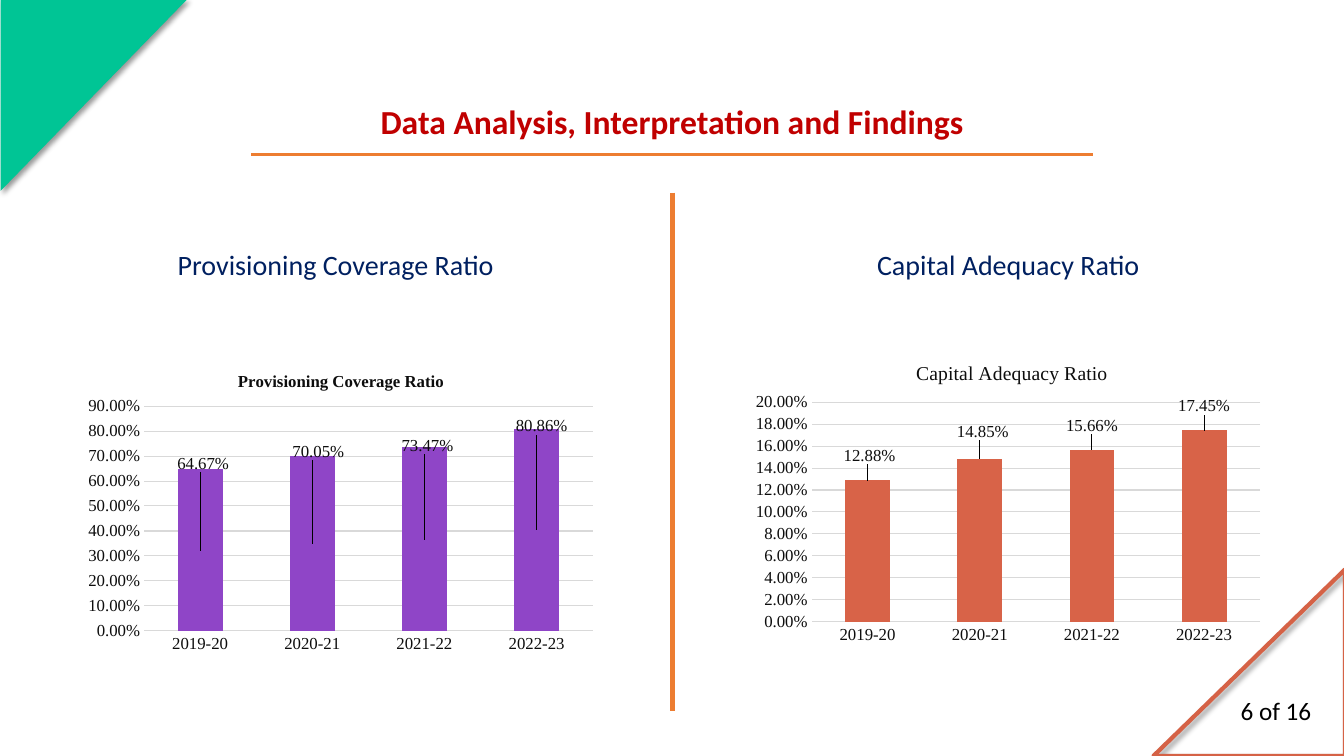
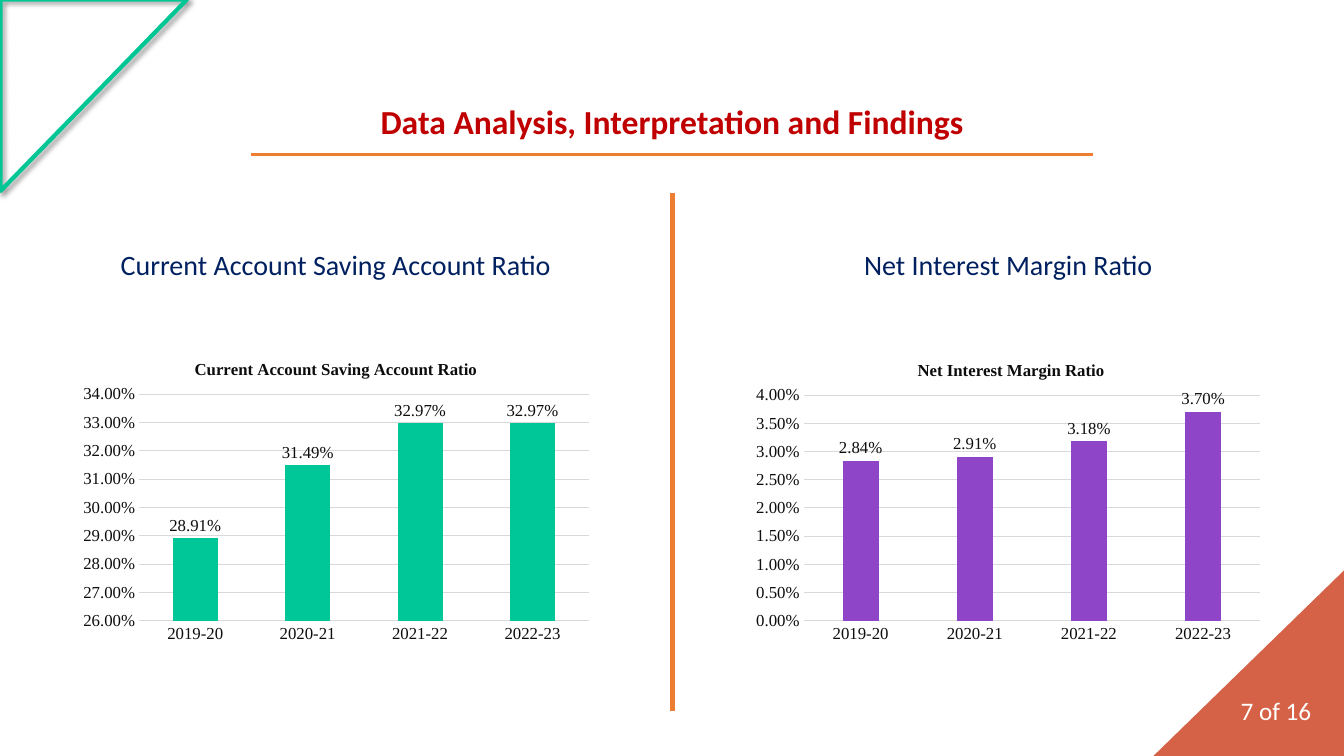
"""Build two slides comparing four banking ratios in column charts."""
from lxml import etree
from pptx import Presentation
from pptx import util as u
from pptx.chart.data import CategoryChartData
from pptx.dml.color import RGBColor
from pptx.enum import chart as charts, shapes, text
from pptx.oxml import parse_xml
from pptx.oxml.ns import nsdecls, qn

HEADING = "Data Analysis, Interpretation and Findings"
YEARS = ["2019-20", "2020-21", "2021-22", "2022-23"]
TOTAL_PAGES = 16
GREEN, RUST, ORANGE, PURPLE = "00C595", "D56246", "ED7D31", "8F45C7"
RED, NAVY, INK, GRID = "C00000", "002060", "0D0D0D", "D9D9D9"
BODY_FONT, CHART_FONT = "Calibri", "Times New Roman"
NUMBER_FORMAT = "0.00%"
PLOT_RIGHT, PLOT_BOTTOM, TITLE_TOP = 0.1, 0.28, 0.16
SUBTITLE_BOXES = [(0.68, 2.41, 5.3, 0.44), (6.99, 2.41, 6.02, 0.44)]
RULES = [((2.49, 1.53), (10.84, 1.53), 2.25), ((6.67, 1.91), (6.67, 7.05), 3)]

PROVISIONING = {
    "title": "Provisioning Coverage Ratio", "box": (0.77, 3.49, 5.21, 3.05),
    "values": [0.6467, 0.7005, 0.7347, 0.8086], "scale": (0, 0.9, 0.1),
    "color": PURPLE, "kind": "COLUMN_STACKED", "overlap": 100,
    "plot": (0.66, 0.54), "title_left": 1.56,
    "nudges": [(0.03, -0.86), (0.06, -0.91), (0.03, -0.93), (0.05, -1.03)],
}
CAPITAL = {
    "title": "Capital Adequacy Ratio", "box": (7.39, 3.38, 5.21, 3.07),
    "values": [0.1288, 0.1485, 0.1566, 0.1745], "scale": (0, 0.2, 0.02),
    "color": "D86348", "plot": (0.66, 0.61), "title_left": 1.66,
    "title_size": 14, "title_bold": False,
    "nudges": [(0.02, -0.12), (0.03, -0.14), (0, -0.11), (0, -0.11)],
}
CURRENT_ACCOUNT = {
    "title": "Current Account Saving Account Ratio",
    "box": (0.73, 3.37, 5.21, 3.07),
    "values": [0.2891, 0.3149, 0.3297, 0.3297], "scale": (0.26, 0.34, 0.01),
    "color": "00C798", "plot": (0.65, 0.54), "title_left": 1.17,
}
INTEREST_MARGIN = {
    "title": "Net Interest Margin Ratio", "box": (7.39, 3.38, 5.21, 3.06),
    "values": [0.0284, 0.0291, 0.0318, 0.037], "scale": (0, 0.04, 0.005),
    "color": PURPLE, "plot": (0.58, 0.54), "title_left": 1.68,
    "gap": 219, "overlap": -27, "axis_line": GRID,
}
SLIDES = [
    {"page": 6, "page_color": "000000", "filled_corner": "top",
     "ratios": [PROVISIONING, CAPITAL]},
    {"page": 7, "page_color": "FFFFFF", "filled_corner": "bottom",
     "ratios": [CURRENT_ACCOUNT, INTEREST_MARGIN]},
]


def rgb(color):
    """Turn a hex string into a colour."""
    return RGBColor.from_string(color)


def inches(values):
    """Turn plain numbers into lengths."""
    return [u.Inches(value) for value in values]


def style_font(font, name, size, color, bold=False):
    """Set the face, size, colour and weight of a font."""
    font.name, font.size, font.bold = name, u.Pt(size), bold
    font.color.rgb = rgb(color)


def add_text(slide, box, content, size, color, bold=False, space_after=0):
    """Add one centred line of text."""
    frame = slide.shapes.add_textbox(*inches(box)).text_frame
    frame.word_wrap = True
    frame.auto_size = text.MSO_AUTO_SIZE.SHAPE_TO_FIT_TEXT
    frame.text = content
    paragraph = frame.paragraphs[0]
    paragraph.alignment = text.PP_ALIGN.CENTER
    paragraph.space_after = u.Pt(space_after)
    style_font(paragraph.runs[0].font, BODY_FONT, size, color, bold)


def add_rule(slide, start, end, width):
    """Add a straight orange line."""
    rule = slide.shapes.add_connector(
        shapes.MSO_CONNECTOR.STRAIGHT, *inches(start + end))
    rule.line.color.rgb = rgb(ORANGE)
    rule.line.width = u.Pt(width)
    etree.SubElement(rule.element.spPr, qn("a:effectLst"))


def add_corner(slide, box, color, filled, rotation=0, flipped=False):
    """Add a shadowed corner triangle, either filled or outlined."""
    corner = slide.shapes.add_shape(
        shapes.MSO_SHAPE.RIGHT_TRIANGLE, *inches(box))
    corner.rotation = rotation
    if flipped:
        corner.element.spPr.get_or_add_xfrm().set("flipH", "1")
    if filled:
        corner.fill.solid()
        corner.fill.fore_color.rgb = rgb(color)
        corner.line.fill.background()
    else:
        corner.fill.background()
        corner.line.color.rgb = rgb(color)
        corner.line.width = u.Pt(3)
    corner.element.spPr.append(parse_xml(
        f'<a:effectLst {nsdecls("a")}><a:outerShdw blurRad="50800" '
        'dist="38100" dir="2700000" algn="tl" rotWithShape="0">'
        '<a:srgbClr val="000000"><a:alpha val="40000"/></a:srgbClr>'
        '</a:outerShdw></a:effectLst>'))


def set_layout(parent, index, fractions):
    """Place a chart part by fractions of the chart's size."""
    for old in parent.findall(qn("c:layout")):
        parent.remove(old)
    layout = etree.Element(qn("c:layout"))
    manual = etree.SubElement(layout, qn("c:manualLayout"))
    for name, value in fractions.items():
        etree.SubElement(manual, qn(f"c:{name}")).set("val", str(value))
    parent.insert(index, layout)


def style_axes(chart, ratio):
    """Scale the value axis and set lines and fonts of both axes."""
    value_axis, category_axis = chart.value_axis, chart.category_axis
    (value_axis.minimum_scale, value_axis.maximum_scale,
     value_axis.major_unit) = ratio["scale"]
    value_axis.has_major_gridlines = True
    grid_line = value_axis.major_gridlines.format.line
    grid_line.color.rgb, grid_line.width = rgb(GRID), u.Pt(0.75)
    value_axis.tick_labels.number_format = NUMBER_FORMAT
    value_axis.tick_labels.number_format_is_linked = False
    for axis in (value_axis, category_axis):
        axis.major_tick_mark = charts.XL_TICK_MARK.NONE
        axis.format.line.fill.background()
        style_font(axis.tick_labels.font, CHART_FONT, 12, INK)
    if "axis_line" in ratio:
        category_axis.format.line.color.rgb = rgb(ratio["axis_line"])
        category_axis.format.line.width = u.Pt(0.75)


def style_labels(chart, ratio):
    """Show the values and shift those that have their own place."""
    width, height = ratio["box"][2:]
    series = chart.plots[0].series[0]
    labels = series.data_labels
    labels.show_value = True
    labels.number_format = NUMBER_FORMAT
    labels.number_format_is_linked = False
    style_font(labels.font, CHART_FONT, 12, INK)
    if "nudges" not in ratio:
        labels.position = charts.XL_LABEL_POSITION.OUTSIDE_END
        return
    for index in range(len(YEARS)):
        style_font(series.points[index].data_label.font, CHART_FONT, 12, INK)
    label_elements = chart.element.xpath(".//c:dLbl")
    for label, (right, down) in zip(label_elements, ratio["nudges"]):
        set_layout(label, 1, {"x": right / width, "y": down / height})


def add_ratio_chart(slide, ratio):
    """Add the column chart of one ratio."""
    data = CategoryChartData(number_format=NUMBER_FORMAT)
    data.categories = YEARS
    data.add_series("Series 1", ratio["values"])
    kind = charts.XL_CHART_TYPE[ratio.get("kind", "COLUMN_CLUSTERED")]
    chart = slide.shapes.add_chart(kind, *inches(ratio["box"]), data).chart
    style_font(chart.font, CHART_FONT, 12, INK)
    chart.has_legend = False
    chart.has_title = True
    frame = chart.chart_title.text_frame
    frame.text = ratio["title"]
    style_font(frame.paragraphs[0].runs[0].font, CHART_FONT,
               ratio.get("title_size", 12), INK, ratio.get("title_bold", True))
    plot = chart.plots[0]
    plot.vary_by_categories = False
    plot.gap_width = ratio.get("gap", 150)
    plot.overlap = ratio.get("overlap", 0)
    fill = plot.series[0].format.fill
    fill.solid()
    fill.fore_color.rgb = rgb(ratio["color"])
    style_axes(chart, ratio)
    style_labels(chart, ratio)

    width, height = ratio["box"][2:]
    left, top = ratio["plot"]
    space = chart.element
    set_layout(space.xpath(".//c:chart/c:title")[0], 1, {
        "xMode": "edge", "yMode": "edge",
        "x": ratio["title_left"] / width, "y": TITLE_TOP / height})
    set_layout(space.xpath(".//c:plotArea")[0], 0, {
        "layoutTarget": "inner", "xMode": "edge", "yMode": "edge",
        "x": left / width, "y": top / height,
        "w": (width - left - PLOT_RIGHT) / width,
        "h": (height - top - PLOT_BOTTOM) / height})


def add_slide(presentation, content):
    """Add one slide with its two ratios and the shared frame."""
    slide = presentation.slides.add_slide(presentation.slide_layouts[6])
    for ratio in content["ratios"]:
        add_ratio_chart(slide, ratio)
    filled = content["filled_corner"]
    add_corner(slide, (-0.02, 0.02, 1.9, 1.85), GREEN, filled == "top",
               rotation=90)
    add_corner(slide, (11.44, 5.65, 1.9, 1.85), RUST, filled == "bottom",
               flipped=True)
    add_text(slide, (11.98, 6.85, 1.35, 0.4),
             f"{content['page']} of {TOTAL_PAGES}", 18, content["page_color"])
    add_text(slide, (0.77, 0.95, 11.79, 0.5), HEADING, 24, RED, bold=True)
    for rule in RULES:
        add_rule(slide, *rule)
    for box, ratio in zip(SUBTITLE_BOXES, content["ratios"]):
        add_text(slide, box, ratio["title"], 20, NAVY, space_after=8)


def main():
    """Build and save the presentation."""
    presentation = Presentation()
    presentation.slide_width = u.Inches(13.33)
    presentation.slide_height = u.Inches(7.5)
    for content in SLIDES:
        add_slide(presentation, content)
    presentation.save("out.pptx")


if __name__ == "__main__":
    main()
